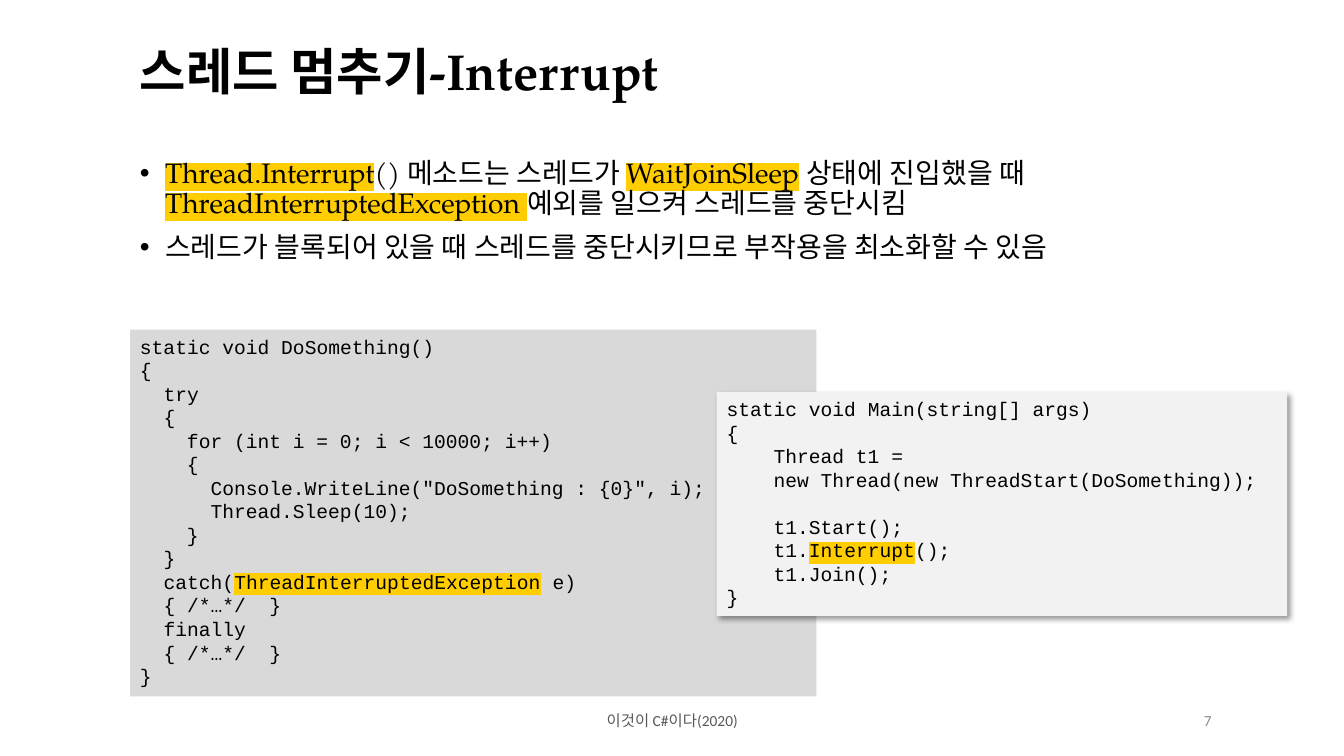
import dataclasses
import typing

import pptx
import pptx.dml.color
import pptx.enum.shapes
import pptx.enum.text
import pptx.oxml
import pptx.oxml.ns
import pptx.util

Pt = pptx.util.Pt
Align = pptx.enum.text.PP_ALIGN
Anchor = pptx.enum.text.MSO_ANCHOR

HUES = {
    "black": "000000", "mark": "FFCD00", "foot": "595959",
    "page": "8C8C8C", "back": "D9D9D9", "front": "F2F2F2",
}
NS = pptx.oxml.ns.nsdecls("a")
CHAR = 8.4  # width of one code letter
PITCH = 16.8  # distance between code lines


@dataclasses.dataclass
class Style:
    """Look of a run of text."""
    font: str
    size: float
    hue: str = "black"
    bold: bool = False


@dataclasses.dataclass
class Row:
    """A code line: indent in letters, text in bits, lines skipped above."""
    depth: int
    bits: list[str]
    skip: int = 0


@dataclasses.dataclass
class Panel:
    """A filled box of code."""
    box: tuple[float, float, float, float]
    hue: str
    rows: list[Row]
    raised: bool = False


@dataclasses.dataclass
class Foot:
    """A short text in the footer."""
    left: float
    width: float
    text: str
    hue: str
    align: typing.Any


TITLE = Style("TeX Gyre Pagella", 36, bold=True)
BODY = Style("TeX Gyre Pagella", 20)
CODE = Style("Courier New", 14)

# In each list of bits, every second one is marked.
POINTS = [
    ["", "Thread.Interrupt", "() 메소드는 스레드가 ", "WaitJoinSleep",
     " 상태에 진입했을 때\n", "ThreadInterruptedException ",
     "예외를 일으켜 스레드를 중단시킴"],
    ["스레드가 블록되어 있을 때 스레드를 중단시키므로 부작용을 최소화할 수 있음"],
]
PANELS = [
    Panel((92.9, 235.4, 490.3, 262.1), "back", [
        Row(0, ["static void DoSomething()"]),
        Row(0, ["{"]),
        Row(2, ["try"]),
        Row(2, ["{"]),
        Row(4, ["for (int i = 0; i < 10000; i++)"]),
        Row(4, ["{"]),
        Row(6, ['Console.WriteLine("DoSomething : {0}", i);']),
        Row(6, ["Thread.Sleep(10);"]),
        Row(4, ["}"]),
        Row(2, ["}"]),
        Row(2, ["catch(", "ThreadInterruptedException", " e)"]),
        Row(2, ["{ /*…*/  }"]),
        Row(2, ["finally"]),
        Row(2, ["{ /*…*/  }"]),
        Row(0, ["}"]),
    ]),
    Panel((511.9, 280.1, 407.5, 159.8), "front", [
        Row(0, ["static void Main(string[] args)"]),
        Row(0, ["{"]),
        Row(4, ["Thread t1 ="]),
        Row(4, ["new Thread(new ThreadStart(DoSomething));"]),
        Row(4, ["t1.Start();"], skip=1),
        Row(4, ["t1.", "Interrupt", "();"]),
        Row(4, ["t1.Join();"]),
        Row(0, ["}"]),
    ], raised=True),
]
FEET = [
    Foot(318.2, 324, "이것이 C#이다(2020)", "foot", Align.CENTER),
    Foot(678.2, 194.4, "7", "page", Align.RIGHT),
]


def color(name: str) -> pptx.dml.color.RGBColor:
    """Look up a colour by name."""
    return pptx.dml.color.RGBColor.from_string(HUES[name])


def write(para: typing.Any, bits: list[str], style: Style) -> None:
    """Add the bits as runs, marking every second one."""
    for spot, bit in enumerate(bits):
        if not bit:
            continue
        run = para.add_run()
        run.text = bit.rstrip("\n")
        run.font.size = Pt(style.size)
        run.font.bold = style.bold
        run.font.color.rgb = color(style.hue)
        if spot % 2:
            run._r.get_or_add_rPr().append(pptx.oxml.parse_xml(
                f'<a:highlight {NS}><a:srgbClr val="{HUES["mark"]}"/></a:highlight>'))
        run.font.name = style.font
        if bit.endswith("\n"):
            para.add_line_break()


def indent(para: typing.Any, left: float, first: float = 0) -> None:
    """Set the left margin and first line indent."""
    props = para._p.get_or_add_pPr()
    props.set("marL", str(int(Pt(left))))
    props.set("indent", str(int(Pt(first))))


def draw_foot(slide: typing.Any, foot: Foot) -> None:
    """Draw one footer text."""
    shape = slide.shapes.add_textbox(Pt(foot.left), Pt(500.4), Pt(foot.width), Pt(28.8))
    frame = shape.text_frame
    frame.word_wrap = True
    frame.vertical_anchor = Anchor.MIDDLE
    para = frame.paragraphs[0]
    para.alignment = foot.align
    write(para, [foot.text], Style("Calibri", 11, foot.hue))


def draw_body(slide: typing.Any) -> None:
    """Draw the title and its bullet points."""
    frame = slide.shapes.add_textbox(Pt(92.9), Pt(26.6), Pt(754.6), Pt(221)).text_frame
    frame.word_wrap = True
    frame.margin_top = frame.margin_bottom = Pt(7.2)
    head = frame.paragraphs[0]
    head.line_spacing = 0.9
    head.space_before = Pt(6)
    write(head, ["스레드 멈추기-Interrupt"], TITLE)
    for spot, bits in enumerate(POINTS):
        para = frame.add_paragraph()
        para.line_spacing = 0.9
        para.space_before = Pt(10 if spot else 41)
        indent(para, 18, -18)
        props = para._p.get_or_add_pPr()
        props.append(pptx.oxml.parse_xml(f'<a:buFont {NS} typeface="Arial"/>'))
        props.append(pptx.oxml.parse_xml(f'<a:buChar {NS} char="•"/>'))
        write(para, bits, BODY)


def draw_panel(slide: typing.Any, panel: Panel) -> None:
    """Draw one box of code."""
    kind = pptx.enum.shapes.MSO_SHAPE.RECTANGLE
    shape = slide.shapes.add_shape(kind, *map(Pt, panel.box))
    shape.fill.solid()
    shape.fill.fore_color.rgb = color(panel.hue)
    shape.line.fill.background()
    shape.shadow.inherit = False
    if panel.raised:
        effects = shape._element.spPr.find(pptx.oxml.ns.qn("a:effectLst"))
        effects.append(pptx.oxml.parse_xml(
            f'<a:outerShdw {NS} blurRad="{int(Pt(4))}" dist="{int(Pt(3))}" dir="2700000" '
            f'algn="tl" rotWithShape="0"><a:srgbClr val="{HUES["black"]}">'
            '<a:alpha val="40000"/></a:srgbClr></a:outerShdw>'))
    frame = shape.text_frame
    frame.word_wrap = True
    frame.vertical_anchor = Anchor.TOP
    for spot, row in enumerate(panel.rows):
        para = frame.add_paragraph() if spot else frame.paragraphs[0]
        para.alignment = Align.LEFT
        para.line_spacing = Pt(PITCH)
        para.space_before = Pt(row.skip * PITCH)
        indent(para, row.depth * CHAR)
        write(para, row.bits, CODE)


def main() -> None:
    """Build and save the slide."""
    deck = pptx.Presentation()
    deck.slide_width, deck.slide_height = Pt(960), Pt(540)
    slide = deck.slides.add_slide(deck.slide_layouts[6])
    for foot in FEET:
        draw_foot(slide, foot)
    draw_body(slide)
    for panel in PANELS:
        draw_panel(slide, panel)
    deck.save("out.pptx")


main()
